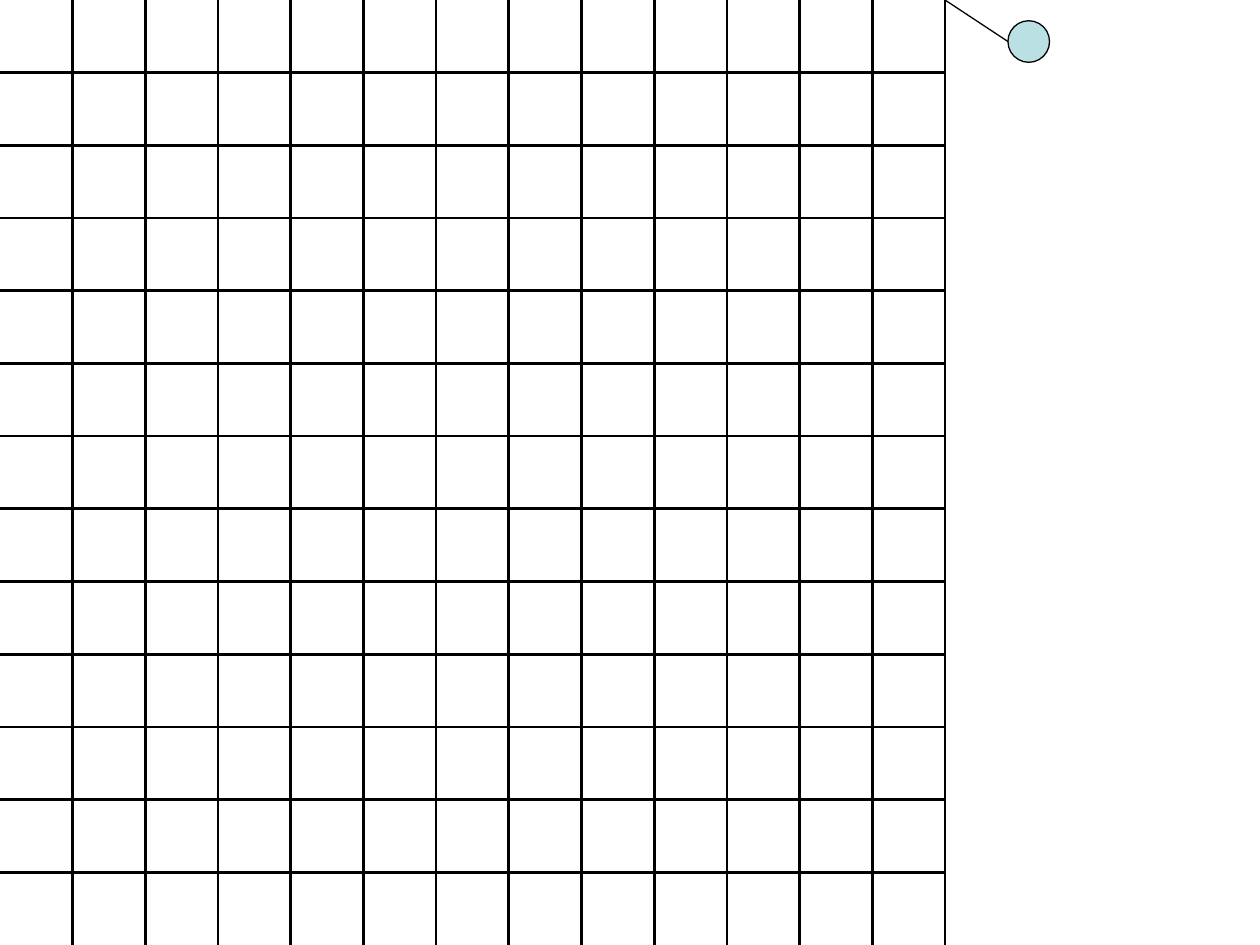
from pptx import Presentation
from pptx.dml.color import RGBColor
from pptx.enum.shapes import MSO_CONNECTOR as Connector, MSO_SHAPE as Shape
from pptx.oxml.ns import qn
from pptx.util import Inches, Pt
from lxml.etree import SubElement

SLIDE_WIDTH, SLIDE_HEIGHT = 10, 7.5
BOARD_SIDE = SLIDE_HEIGHT
CELLS = 13
INK, MARKER_FILL = "000000", "BBE0E3"
GRID_WEIGHT, MARKER_WEIGHT = 1.5, 0.75
MARKER_LEFT, MARKER_MIDDLE, MARKER_SIZE = 8, 0.33, 0.33


def color(code):
    """Turn a hex string into a colour."""
    return RGBColor.from_string(code)


def draw_line(shapes, start, end, weight):
    """Draw a plain straight line between two points in inches."""
    line = shapes.add_connector(Connector.STRAIGHT, *map(Inches, start + end))
    line.line.color.rgb = color(INK)
    line.line.width = Pt(weight)
    SubElement(line._element.spPr, qn("a:effectLst"))


def draw_grid(shapes):
    """Draw the inner rows, then the columns with the right-hand edge."""
    cell = BOARD_SIDE / CELLS
    for row in range(1, CELLS):
        draw_line(shapes, (0, row * cell), (BOARD_SIDE, row * cell), GRID_WEIGHT)
    for column in range(1, CELLS + 1):
        draw_line(shapes, (column * cell, 0), (column * cell, BOARD_SIDE), GRID_WEIGHT)


def draw_marker(shapes):
    """Draw the round marker and its line to the grid's top right corner."""
    top = MARKER_MIDDLE - MARKER_SIZE / 2
    marker = shapes.add_shape(
        Shape.OVAL, *map(Inches, (MARKER_LEFT, top, MARKER_SIZE, MARKER_SIZE)))
    marker.shadow.inherit = False
    marker.fill.solid()
    marker.fill.fore_color.rgb = color(MARKER_FILL)
    marker.line.color.rgb = color(INK)
    marker.line.width = Pt(MARKER_WEIGHT)
    draw_line(shapes, (BOARD_SIDE, 0), (MARKER_LEFT, MARKER_MIDDLE), MARKER_WEIGHT)


def main():
    """Build the slide and save it."""
    deck = Presentation()
    deck.slide_width, deck.slide_height = Inches(SLIDE_WIDTH), Inches(SLIDE_HEIGHT)
    slide = deck.slides.add_slide(deck.slide_layouts[6])
    board = slide.shapes.add_group_shape()
    draw_grid(board.shapes)
    draw_marker(board.shapes)
    deck.save("out.pptx")


if __name__ == "__main__":
    main()
